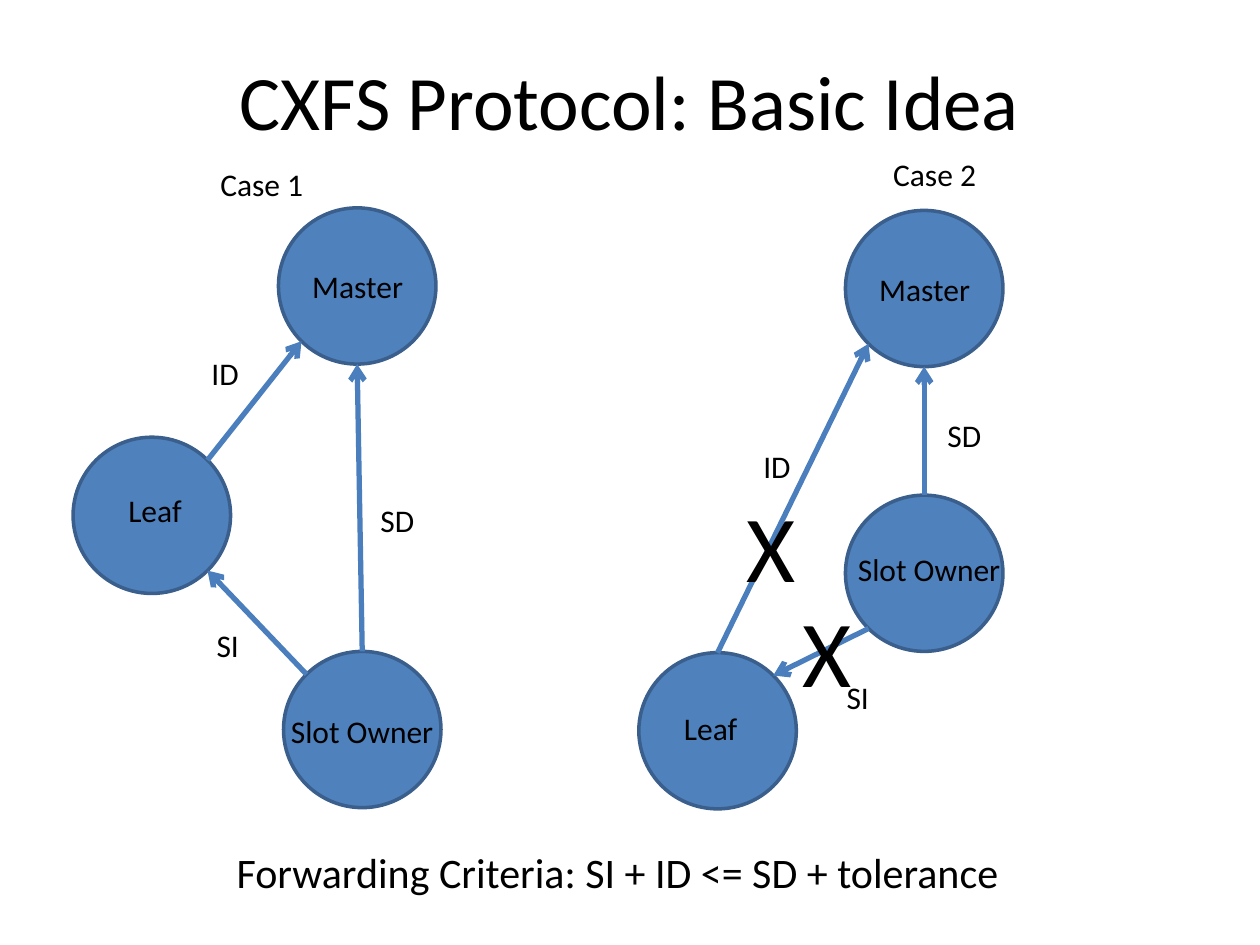
import math

import pptx
import pptx.util
from pptx.dml.color import RGBColor
from pptx.enum.shapes import MSO_CONNECTOR, MSO_SHAPE
from pptx.enum.text import MSO_ANCHOR, PP_ALIGN
from pptx.oxml.ns import qn
from lxml import etree

Inches, Pt = pptx.util.Inches, pptx.util.Pt

# Content: lengths in inches
TITLE = "CXFS Protocol: Basic Idea"
NODE_W, NODE_H = 1.25, 1.24
FONT = "Calibri"
BLACK, NODE_FILL, NODE_LINE, ARROW = "000000", "4F81BD", "3A5F8C", "4B7EBC"

# Nodes: left, top of the circle, then left, top, width of its name
# Arrows: start node, angle on it, end node, angle on it (clockwise from right)
CASES = [
    {
        "nodes": {
            "Master": (2.21, 1.65, 2.38, 2.07, 1.0),
            "Slot Owner": (2.25, 5.17, 2.21, 5.6, 1.38),
            "Leaf": (0.58, 3.47, 0.92, 3.85, 0.83),
        },
        "arrows": [
            ("Slot Owner", 270, "Master", 90),
            ("Slot Owner", 225, "Leaf", 45),
            ("Leaf", 315, "Master", 135),
        ],
    },
    {
        "nodes": {
            "Master": (6.71, 1.67, 6.88, 2.09, 1.0),
            "Slot Owner": (6.71, 3.93, 6.71, 4.32, 1.38),
            "Leaf": (5.07, 5.18, 5.33, 5.58, 0.83),
        },
        "arrows": [
            ("Slot Owner", 270, "Master", 90),
            ("Slot Owner", 135, "Leaf", 315),
            ("Leaf", 270, "Master", 135),
        ],
    },
]

# Labels: text, left, top, width, height, size
LABELS = [
    ("SI", 1.62, 4.92, 0.62, 0.4, 18),
    ("ID", 1.58, 2.76, 0.62, 0.4, 18),
    ("SD", 2.92, 3.93, 0.62, 0.4, 18),
    ("SI", 6.62, 5.33, 0.62, 0.4, 18),
    ("ID", 5.96, 3.5, 0.62, 0.4, 18),
    ("SD", 7.42, 3.25, 0.62, 0.4, 18),
    ("Case 1", 1.65, 1.26, 1.1, 0.4, 18),
    ("Case 2", 6.99, 1.18, 1.1, 0.4, 18),
    ("Forwarding Criteria: SI + ID <= SD + tolerance", 1.78, 6.67, 6.47, 0.5, 24),
    ("X", 6.27, 4.66, 0.62, 1.01, 54),
    ("X", 5.83, 3.82, 0.62, 1.01, 54),
]


def color(value):
    return RGBColor.from_string(value)


def write(frame, text, size):
    frame.word_wrap = True
    paragraph = frame.paragraphs[0]
    paragraph.text = text
    paragraph.font.name = FONT
    paragraph.font.size = Pt(size)
    paragraph.font.color.rgb = color(BLACK)
    return paragraph


def add_label(slide, text, left, top, width, height, size):
    label = slide.shapes.add_textbox(*map(Inches, (left, top, width, height)))
    write(label.text_frame, text, size)


def add_node(slide, left, top):
    node = slide.shapes.add_shape(
        MSO_SHAPE.OVAL, *map(Inches, (left, top, NODE_W, NODE_H)))
    node.shadow.inherit = False
    node.fill.solid()
    node.fill.fore_color.rgb = color(NODE_FILL)
    node.line.color.rgb = color(NODE_LINE)
    node.line.width = Pt(2)


def rim_point(node, degrees):
    left, top = node[:2]
    angle = math.radians(degrees)
    return (Inches(left + NODE_W / 2 * (1 + math.cos(angle))),
            Inches(top + NODE_H / 2 * (1 + math.sin(angle))))


def add_arrow(slide, start, end):
    arrow = slide.shapes.add_connector(MSO_CONNECTOR.STRAIGHT, *start, *end)
    arrow.line.color.rgb = color(ARROW)
    arrow.line.width = Pt(3)
    etree.SubElement(arrow.line._get_or_add_ln(), qn("a:tailEnd"), type="arrow")
    etree.SubElement(arrow._element.spPr, qn("a:effectLst"))


def main():
    deck = pptx.Presentation()
    deck.slide_width, deck.slide_height = Inches(10), Inches(7.5)
    slide = deck.slides.add_slide(deck.slide_layouts[5])

    # Title
    title = slide.shapes.title
    title.left, title.top, title.width, title.height = map(
        Inches, (0.5, 0.17, 9, 1.25))
    title.text_frame.vertical_anchor = MSO_ANCHOR.MIDDLE
    write(title.text_frame, TITLE, 44).alignment = PP_ALIGN.CENTER

    # Both cases: circles, names and arrows
    for case in CASES:
        nodes = case["nodes"]
        for name, (left, top, name_left, name_top, name_width) in nodes.items():
            add_node(slide, left, top)
            add_label(slide, name, name_left, name_top, name_width, 0.4, 18)
        for source, source_angle, target, target_angle in case["arrows"]:
            add_arrow(slide, rim_point(nodes[source], source_angle),
                      rim_point(nodes[target], target_angle))

    # Distances, case names, criteria and crosses
    for label in LABELS:
        add_label(slide, *label)

    deck.save("out.pptx")


if __name__ == "__main__":
    main()
